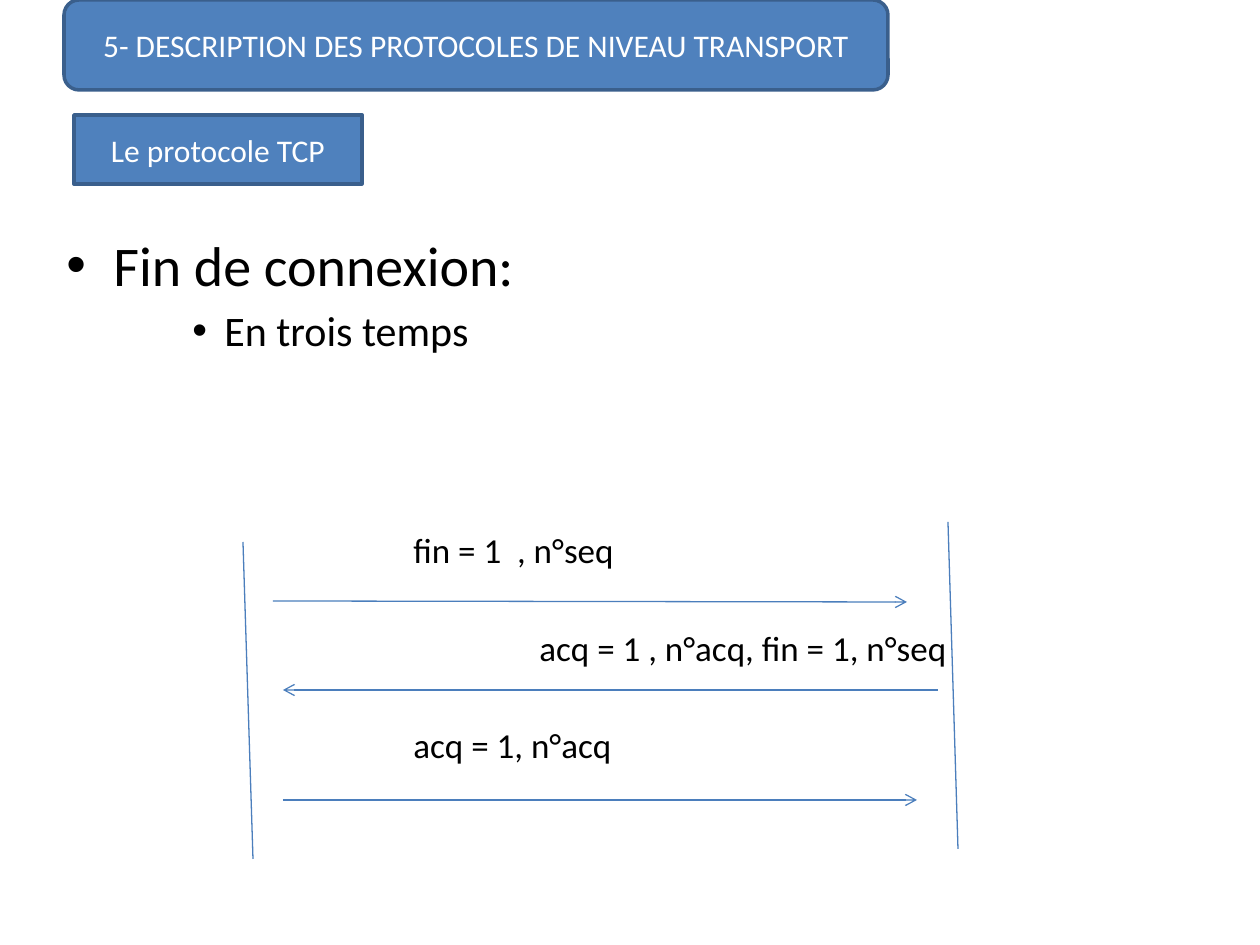
"""Build the slide on closing a TCP connection in three steps."""
from typing import NamedTuple

from lxml.etree import SubElement
from pptx import Presentation
from pptx.dml.color import RGBColor as RGB
from pptx.enum.shapes import MSO_CONNECTOR as CONN, MSO_SHAPE as SHAPE
from pptx.enum.text import MSO_ANCHOR as ANCHOR, PP_ALIGN as ALIGN
from pptx.oxml.ns import qn
from pptx.util import Emu, Pt

PX = 914400 / 126
FONT = "Calibri"
COLORS = {"fill": "4F81BD", "border": "3A5F8C", "line": "4B7EBC",
          "text": "000000", "title": "FFFFFF"}


class Banner(NamedTuple):
    shape: SHAPE
    x: int
    y: int
    w: int
    h: int
    text: str


class Line(NamedTuple):
    x1: int
    y1: int
    x2: int
    y2: int
    arrow: bool


class Item(NamedTuple):
    text: str
    size: int
    before: float
    left: int
    hang: int = 0


BANNERS = [
    Banner(SHAPE.ROUNDED_RECTANGLE, 64, 0, 824, 90,
           "5- DESCRIPTION DES PROTOCOLES DE NIVEAU TRANSPORT"),
    Banner(SHAPE.RECTANGLE, 74, 115, 288, 69, "Le protocole TCP"),
]
ITEMS = [
    Item("Fin de connexion:", 32, 0, 47, 47),
    Item("En trois temps", 24, 4.3, 158, 32),
    Item("fin = 1  , n°seq", 20, 99, 347),
    Item("acq = 1 , n°acq, fin = 1, n°seq", 20, 31.6, 473),
    Item("acq = 1, n°acq", 20, 31.6, 347),
]
LINES = [
    Line(243, 542, 253, 859, False),
    Line(948, 522, 958, 849, False),
    Line(283, 800, 917, 800, True),
    Line(273, 601, 907, 602, True),
    Line(938, 690, 283, 690, True),
]


def px(n: int) -> Emu:
    """Turn pixels into EMU."""
    return Emu(round(n * PX))


def rgb(name: str) -> RGB:
    """Look up a named colour."""
    return RGB.from_string(COLORS[name])


def add_run(p, text: str, size: int, color: str) -> None:
    """Add a formatted run to a paragraph."""
    r = p.add_run()
    r.text = text
    for key, value in {"name": FONT, "size": Pt(size)}.items():
        setattr(r.font, key, value)
    r.font.color.rgb = rgb(color)


def add_banner(slide, b: Banner) -> None:
    """Draw a filled heading box."""
    s = slide.shapes.add_shape(b.shape, px(b.x), px(b.y), px(b.w), px(b.h))
    s.shadow.inherit = False
    s.fill.solid()
    s.fill.fore_color.rgb = rgb("fill")
    s.line.color.rgb = rgb("border")
    s.line.width = Pt(2)
    tf = s.text_frame
    for key, value in {"word_wrap": True, "vertical_anchor": ANCHOR.MIDDLE}.items():
        setattr(tf, key, value)
    p = tf.paragraphs[0]
    p.alignment = ALIGN.CENTER
    add_run(p, b.text, 18, "title")


def add_body(slide, items: list[Item]) -> None:
    """Write the bullets and message labels in one text box."""
    tf = slide.shapes.add_textbox(px(54), px(224), px(1134), px(624)).text_frame
    tf.word_wrap = True
    for i, item in enumerate(items):
        p = tf.add_paragraph() if i else tf.paragraphs[0]
        pPr = p._p.get_or_add_pPr()
        pPr.set("marL", str(px(item.left)))
        pPr.set("indent", str(-px(item.hang)))
        if item.hang:
            SubElement(pPr, qn("a:buFont"), typeface="Arial")
            SubElement(pPr, qn("a:buChar"), char="•")
        p.space_before = Pt(item.before)
        add_run(p, item.text, item.size, "text")


def add_line(slide, n: Line) -> None:
    """Draw a timeline or a message arrow."""
    c = slide.shapes.add_connector(CONN.STRAIGHT, px(n.x1), px(n.y1), px(n.x2), px(n.y2))
    c.line.color.rgb = rgb("line")
    c.line.width = Pt(0.75)
    spPr = c._element.spPr
    if n.arrow:
        SubElement(spPr.find(qn("a:ln")), qn("a:tailEnd"), type="arrow")
    SubElement(spPr, qn("a:effectLst"))


def main() -> None:
    """Create the presentation and save it."""
    prs = Presentation()
    prs.slide_width, prs.slide_height = px(1260), px(945)
    slide = prs.slides.add_slide(prs.slide_layouts[6])
    add_body(slide, ITEMS)
    for banner in BANNERS:
        add_banner(slide, banner)
    for line in LINES:
        add_line(slide, line)
    prs.save("out.pptx")


if __name__ == "__main__":
    main()
